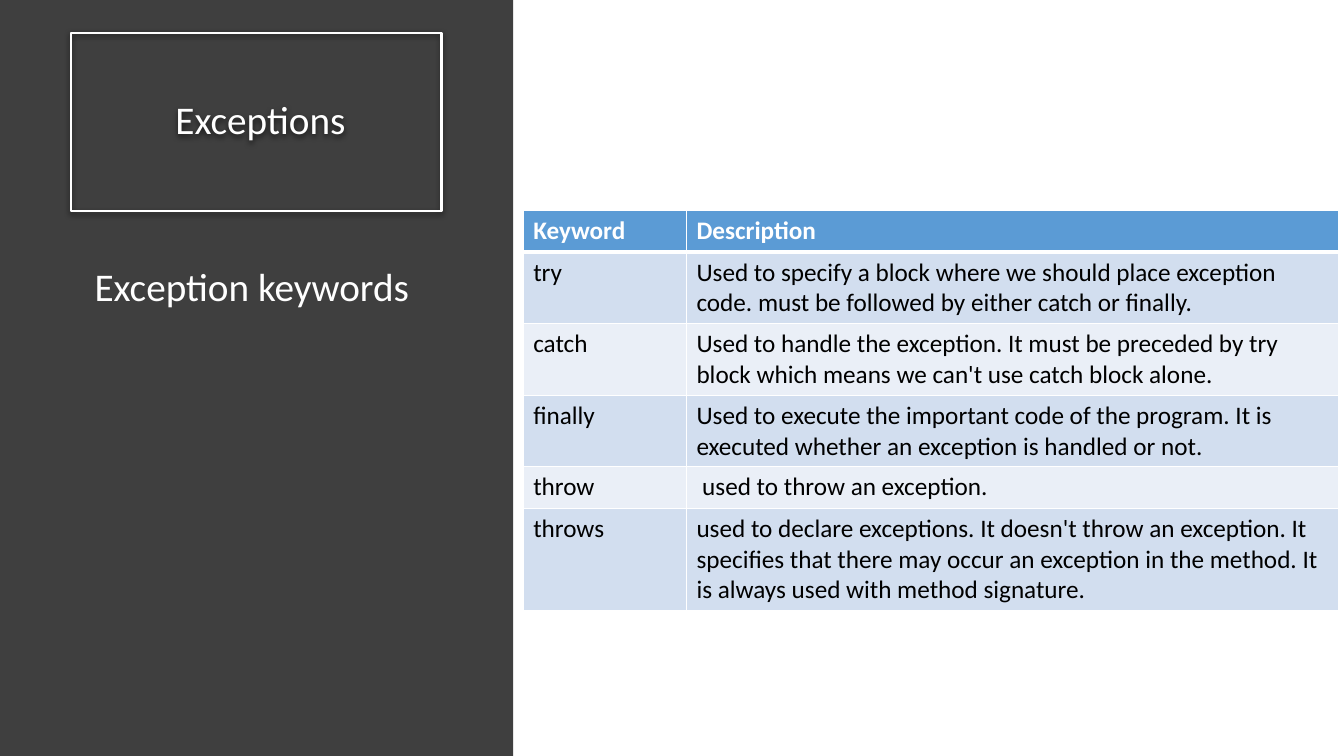
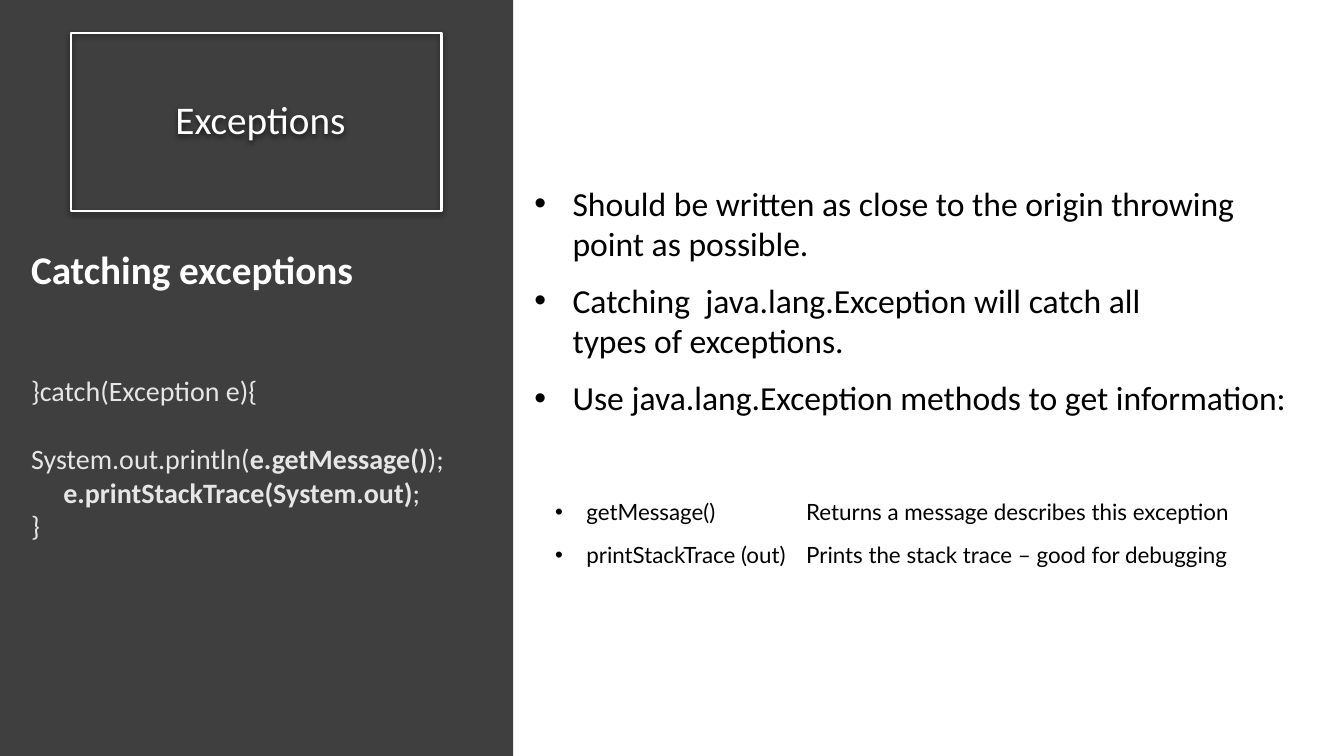
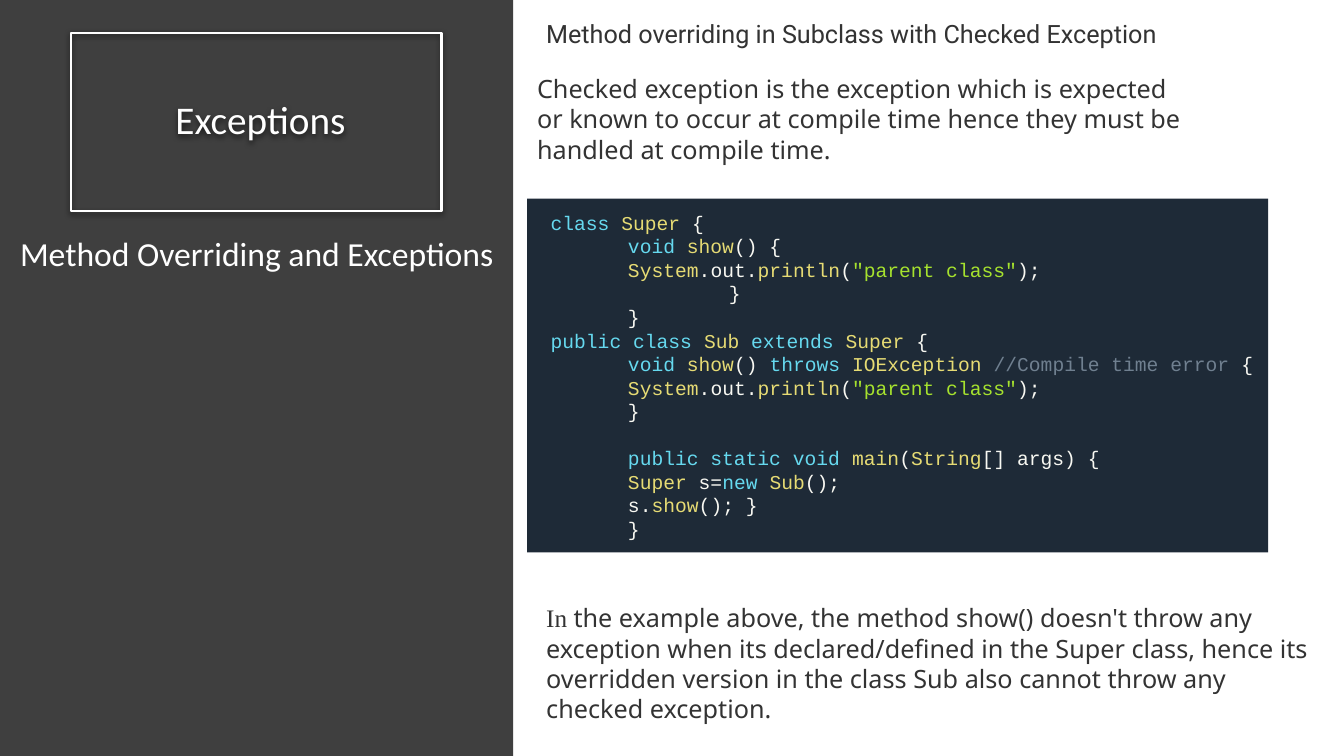
from dataclasses import dataclass
from typing import NamedTuple

from lxml import etree
from pptx import Presentation
from pptx.dml.color import RGBColor
from pptx.enum.shapes import MSO_SHAPE
from pptx.enum.text import MSO_ANCHOR, MSO_AUTO_SIZE, PP_ALIGN
from pptx.oxml.ns import qn
from pptx.util import Inches, Pt

RECT = MSO_SHAPE.RECTANGLE
TOP, MID = MSO_ANCHOR.TOP, MSO_ANCHOR.MIDDLE
LEFT, MIDST = PP_ALIGN.LEFT, PP_ALIGN.CENTER
FIXED = MSO_AUTO_SIZE.NONE

# Palette
WHITE, BLACK, PALE, GRAY = "FFFFFF", "000000", "E7E6E6", "333333"
SIDE, HEAD, ODD, EVEN = "3F3F3F", "5B9BD5", "D2DEEF", "EAEFF7"
NAVY, WORD, NAME, PLAIN = "1E2A37", "66D9EF", "E6DB74", "F8F8F2"
QUOTE, NOTE = "A6E22E", "708090"

# Grid: ten cells to the inch
WIDE, HIGH = 133.33, 75


class Box(NamedTuple):
    x: float
    y: float
    w: float
    h: float


class Span(NamedTuple):
    text: str
    hue: str = ""
    bold: bool = False
    face: str = ""


@dataclass
class Style:
    face: str
    size: float
    hue: str


@dataclass
class Line:
    spans: list[Span]
    inset: float = 0
    hang: float = 0
    above: float = 0
    below: float = 0
    size: float = 0


def cell(n: float) -> int:
    return Inches(n / 10)


def rgb(code: str) -> RGBColor:
    return RGBColor.from_string(code)


def line(text: str, **more) -> Line:
    return Line([Span(text)], **more)


def place(shape, box: Box) -> None:
    shape.left, shape.top, shape.width, shape.height = map(cell, box)


def fill_par(par, item: Line, style: Style) -> None:
    size = item.size or style.size
    for span in item.spans:
        done = len(par.runs)
        if done:
            par.add_run().text = span.text
        else:
            par.text = span.text
        for run in par.runs[done:]:
            font = run.font
            font.name, font.size = span.face or style.face, Pt(size)
            font.bold = span.bold
            font.color.rgb = rgb(span.hue or style.hue)
    for gap in par._p.findall(qn("a:br")):
        etree.SubElement(gap, qn("a:rPr"), sz=str(int(size * 100)))
    par.alignment = LEFT
    par.space_before, par.space_after = Pt(item.above), Pt(item.below)
    props = par._p.get_or_add_pPr()
    props.set("marL", str(cell(item.inset)))
    props.set("indent", str(-cell(item.hang)))
    if item.hang:
        font = etree.SubElement(props, qn("a:buFont"))
        font.set("typeface", "Arial")
        etree.SubElement(props, qn("a:buChar"), char="•")


def write(frame, lines: list[Line], style: Style, anchor=TOP) -> None:
    frame.word_wrap, frame.auto_size = True, FIXED
    frame.vertical_anchor = anchor
    for i, item in enumerate(lines):
        par = frame.add_paragraph() if i else frame.paragraphs[0]
        fill_par(par, item, style)


def add_text(slide, box: Box, lines: list[Line], style: Style) -> None:
    area = slide.shapes.add_textbox(*map(cell, box))
    write(area.text_frame, lines, style)


def add_rect(slide, box: Box, fill: str = "", edge: str = ""):
    rect = slide.shapes.add_shape(RECT, *map(cell, box))
    rect.shadow.inherit = False
    if fill:
        rect.fill.solid()
        rect.fill.fore_color.rgb = rgb(fill)
    else:
        rect.fill.background()
    if edge:
        rect.line.color.rgb, rect.line.width = rgb(edge), Pt(0.75)
    else:
        rect.line.fill.background()
    return rect


def cast(shape) -> None:
    """Give a shape the soft shadow of the title frame."""
    shape.shadow.inherit = False
    fx = shape.element.spPr.find(qn("a:effectLst"))
    drop = etree.SubElement(
        fx, qn("a:outerShdw"), blurRad=str(Pt(4.5)), dist=str(Pt(1.5)),
        dir="5400000", algn="ctr", rotWithShape="0")
    tint = etree.SubElement(drop, qn("a:srgbClr"), val=BLACK)
    etree.SubElement(tint, qn("a:alpha"), val="63000")


def start(deck, kind: int):
    """Add a slide with the dark side band and the framed title."""
    slide = deck.slides.add_slide(deck.slide_layouts[kind])
    title = slide.shapes.title
    band = add_rect(slide, Box(0, 0, 50.9, HIGH), SIDE)
    title.element.addprevious(band.element)
    place(title, Box(7, 3.3, 36.8, 17.6))
    title.line.color.rgb, title.line.width = rgb(WHITE), Pt(1.5)
    cast(title)
    write(title.text_frame, [line(" Exceptions")],
          Style("Calibri", 28, WHITE), MID)
    par = title.text_frame.paragraphs[0]
    par.alignment, par.line_spacing = MIDST, 0.9
    return slide


def edge(item, side: str, width: float) -> None:
    props = item._tc.get_or_add_tcPr()
    rule = etree.Element(qn(f"a:{side}"), w=str(Pt(width)))
    paint = etree.SubElement(rule, qn("a:solidFill"))
    etree.SubElement(paint, qn("a:srgbClr"), val=WHITE)
    props.append(rule)


def add_grid(slide, box: Box, cols: list[float], rows: list) -> None:
    frame = slide.shapes.add_table(len(rows), len(cols), *map(cell, box))
    grid = frame.table
    for col, width in zip(grid.columns, cols):
        col.width = cell(width)
    for r, row in enumerate(rows):
        style = Style("Calibri", 18, BLACK if r else WHITE)
        for c, text in enumerate(row):
            item = grid.cell(r, c)
            fill_par(item.text_frame.paragraphs[0],
                     Line([Span(text, bold=r == 0)]), style)
            for side in ("lnL", "lnR", "lnT", "lnB"):
                thick = (r, side) in ((0, "lnB"), (1, "lnT"))
                edge(item, side, 3 if thick else 1)
            item.fill.solid()
            shade = (ODD if r % 2 else EVEN) if r else HEAD
            item.fill.fore_color.rgb = rgb(shade)


# Wording
TERMS = [
    ("Keyword", "Description"),
    ("try", "Used to specify a block where we should place exception code. "
            "must be followed by either catch or finally."),
    ("catch", "Used to handle the exception. It must be preceded by try block "
              "which means we can't use catch block alone."),
    ("finally", "Used to execute the important code of the program. It is "
                "executed whether an exception is handled or not."),
    ("throw", " used to throw an exception."),
    ("throws", "used to declare exceptions. It doesn't throw an exception. It "
               "specifies that there may occur an exception in the method. It "
               "is always used with method signature."),
]
TIPS = [
    "Should be written as close to the origin throwing \vpoint as possible.",
    "Catching  java.lang.Exception will catch all \vtypes of exceptions.",
    "Use java.lang.Exception methods to get information:",
]
CALLS = [
    ("getMessage()", "Returns a message describes this exception"),
    ("printStackTrace (out)", "Prints the stack trace – good for debugging"),
]
CATCH = [
    Line([Span("Catching exceptions", WHITE, True)], size=28),
    line("}catch(Exception e){", above=58.6),
    Line([Span("System.out.println("), Span("e.getMessage()", bold=True),
          Span(");")], above=24.4),
    Line([Span("e.printStackTrace(System.out)", bold=True), Span(";")],
         inset=3.2),
    line("}"),
]
NEAR, FAR, DEEP = 2.33, 10, 20
PRINT = Line([Span("System", NAME), Span(".out."), Span("println", NAME),
              Span("("), Span('"parent class"', QUOTE), Span(");")], FAR)
CLOSE = line("}", inset=FAR)
CODE = [
    Line([Span("class ", WORD), Span("Super", NAME), Span(" {")], NEAR),
    Line([Span("void ", WORD), Span("show", NAME), Span("() {")], FAR),
    PRINT,
    line("}", inset=DEEP),
    CLOSE,
    Line([Span("public class ", WORD), Span("Sub ", NAME),
          Span("extends ", WORD), Span("Super", NAME), Span(" {")], NEAR),
    Line([Span("void ", WORD), Span("show", NAME), Span("() "),
          Span("throws ", WORD), Span("IOException ", NAME),
          Span("//Compile time error", NOTE), Span(" {")], FAR),
    PRINT,
    CLOSE,
    Line([Span("public static void ", WORD), Span("main", NAME), Span("("),
          Span("String", NAME), Span("[] args) {")], FAR, above=16.8),
    Line([Span("Super", NAME), Span(" s="), Span("new ", WORD),
          Span("Sub", NAME), Span("();")], FAR),
    Line([Span("s."), Span("show", NAME), Span("(); }")], FAR),
    CLOSE,
]
CHECKED = ("Checked exception is the exception which is expected or known to "
           "occur at compile time hence they must be handled at compile time.")
RESULT = ("the example above, the method show() doesn't throw any exception "
          "when its declared/defined in the Super class, hence its overridden "
          "version in the class Sub also cannot throw any checked exception.")


def show_terms(deck) -> None:
    slide = start(deck, 5)
    add_text(slide, Box(8.4, 25.5, 36.3, 5.7), [line("Exception keywords")],
             Style("Calibri", 28, WHITE))
    add_grid(slide, Box(51.9, 20.9, 80.9, 24.6), [16.2, 64.7], TERMS)


def show_catch(deck) -> None:
    slide = start(deck, 1)
    add_text(slide, Box(2.1, 23.8, 44.9, 27.3), CATCH,
             Style("Calibri", 20, PALE))
    body = slide.placeholders[1]
    place(body, Box(52, 17.6, 79.1, 24.6))
    last = len(TIPS) - 1
    tips = [line(tip, inset=3.8, hang=3.8, below=12 if i < last else 0)
            for i, tip in enumerate(TIPS)]
    write(body.text_frame, tips, Style("Calibri", 24, BLACK))
    # Methods in two columns
    left, top, high = 54.1, 48.6, 4.3
    widths, hangs = (24.9, 47.4), (3.1, 0)
    for r, row in enumerate(CALLS):
        for c, text in enumerate(row):
            box = Box(left + sum(widths[:c]), top + r * high, widths[c], high)
            frame = add_rect(slide, box, edge=WHITE).text_frame
            write(frame, [line(text, inset=hangs[c], hang=hangs[c])],
                  Style("Lato", 16, BLACK), MID)
            frame.word_wrap = False


def show_code(deck) -> None:
    slide = start(deck, 5)
    prose = Style("Noto Sans", 18, GRAY)
    add_text(slide, Box(1, 22.6, 49.9, 5),
             [line("Method Overriding and Exceptions")],
             Style("Calibri", 24, WHITE))
    add_text(slide, Box(53.2, 1.3, 63.4, 4),
             [line("Method overriding in Subclass with Checked Exception")],
             Style("Roboto", 18, GRAY))
    add_text(slide, Box(52.3, 6.8, 66.7, 10.1), [line(CHECKED)], prose)
    frame = add_rect(slide, Box(52.3, 19.7, 73.5, 35.1), NAVY).text_frame
    write(frame, CODE, Style("Courier New", 14, PLAIN), MID)
    frame.margin_left = frame.margin_right = 0
    frame.margin_top = frame.margin_bottom = cell(1)
    intro = Span("In ", face="Times New Roman")
    add_text(slide, Box(53.2, 59.3, 77.9, 10.1),
             [Line([intro, Span(RESULT)])], prose)


def main() -> None:
    deck = Presentation()
    deck.slide_width, deck.slide_height = cell(WIDE), cell(HIGH)
    for show in (show_terms, show_catch, show_code):
        show(deck)
    deck.save("out.pptx")


if __name__ == "__main__":
    main()
